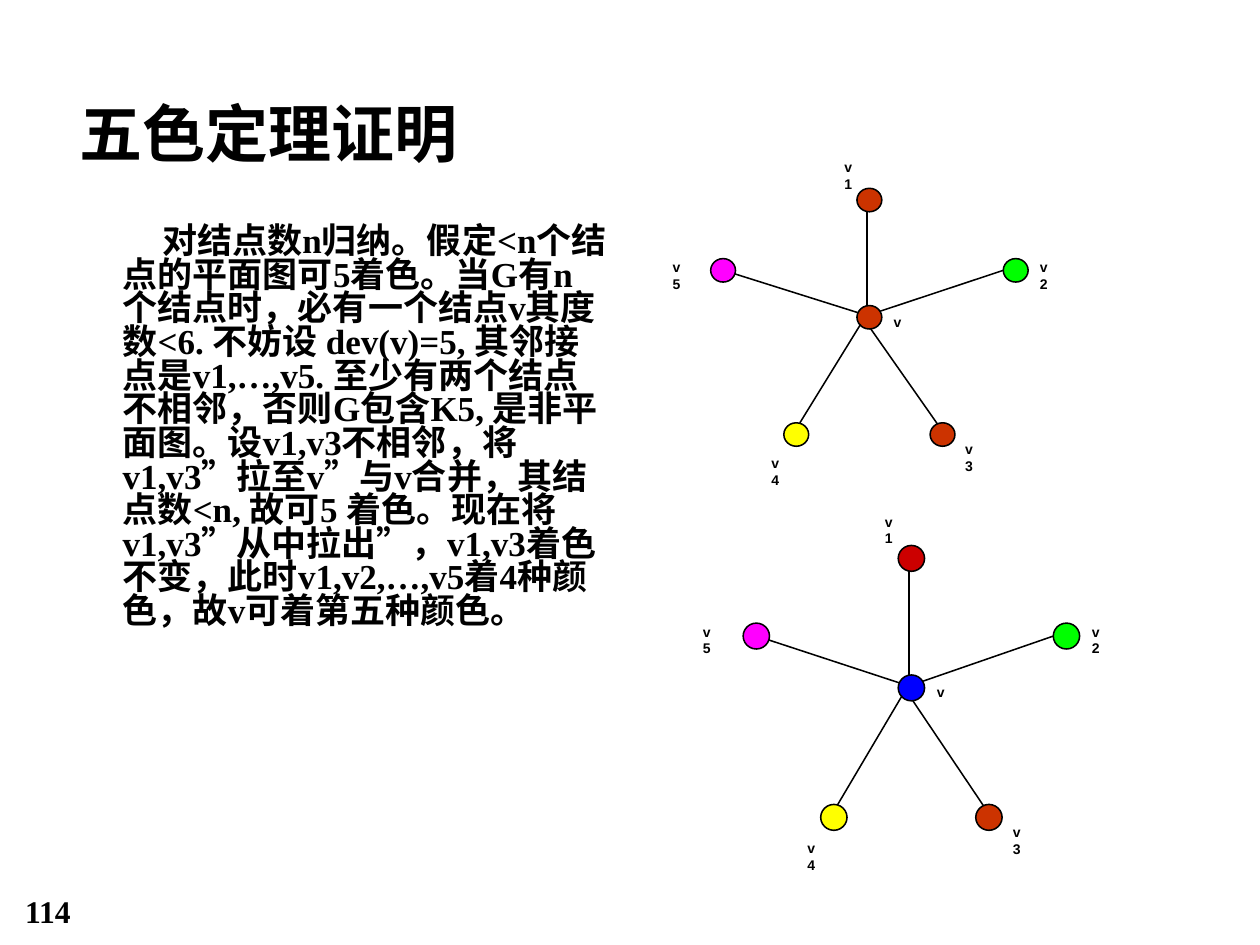
from pptx import Presentation
from pptx.dml.color import RGBColor
from pptx.enum.shapes import MSO_CONNECTOR, MSO_SHAPE
from pptx.oxml.ns import qn
from pptx.util import Pt
from lxml import etree

OVAL = MSO_SHAPE.OVAL
STRAIGHT = MSO_CONNECTOR.STRAIGHT

COLORS = {"black": "000000", "rust": "CC3300", "red": "CC0000", "blue": "0000FF",
          "yellow": "FFFF00", "green": "00FF00", "magenta": "FF00FF"}
SERIF, SANS = "Times New Roman", "Arial"

TITLE = "五色定理证明"
PAGE_NUMBER = "114"
PROOF = ("对结点数n归纳。假定<n个结点的平面图可5着色。当G有n个结点时，必有一个结点v其度数<6. "
         "不妨设 dev(v)=5, 其邻接点是v1,…,v5. 至少有两个结点不相邻，否则G包含K5, 是非平面图。"
         "设v1,v3不相邻，将v1,v3”拉至v”与v合并，其结点数<n, 故可5 着色。"
         "现在将v1,v3”从中拉出”，v1,v3着色不变，此时v1,v2,…,v5着4种颜色，故v可着第五种颜色。")

# Offsets from the hub v, in grid steps: node centre, label corner
NODES = {
    "v": ((0, 0), (0.33, -0.03)),
    "v3": ((1, 1), (1.31, 1.05)),
    "v4": ((-1, 1), (-1.34, 1.17)),
    "v2": ((2, -0.4), (2.33, -0.5)),
    "v5": ((-2, -0.4), (-2.69, -0.5)),
    "v1": ((0, -1), (-0.34, -1.35)),
}
# Edges run between the rims of the nodes
EDGES = [
    ((-0.03, -0.1), (-0.03, -0.9)),
    ((0.14, -0.05), (1.83, -0.4)),
    ((-0.16, -0.04), (-1.84, -0.37)),
    ((-0.12, 0.06), (-0.95, 0.9)),
    ((0.02, 0.1), (0.93, 0.91)),
]
NODE_SIZE = (0.34, 0.2)
SHARED = {"v2": "green", "v3": "rust", "v4": "yellow", "v5": "magenta"}
GRAPHS = [
    {"hub": (496.8, 181.3), "step": (41.8, 67), "fills": {**SHARED, "v": "rust", "v1": "rust"}},
    {"hub": (520.8, 393.1), "step": (44.3, 74), "fills": {**SHARED, "v": "blue", "v1": "red"}},
]


def rgb(name):
    return RGBColor.from_string(COLORS[name])


def add_text(s, text, box, size, font, wrap=True, inset=(0, 0)):
    tb = s.shapes.add_textbox(*map(Pt, box))
    tf = tb.text_frame
    tf.word_wrap = wrap
    tf.margin_left = tf.margin_right = Pt(inset[0])
    tf.margin_top = tf.margin_bottom = Pt(inset[1])
    p = tf.paragraphs[0]
    r = p.add_run()
    r.text = text
    r.font.size, r.font.name, r.font.bold = Pt(size), font, True
    r.font.color.rgb = rgb("black")
    return p


def style_line(line):
    line.color.rgb = rgb("black")
    line.width = Pt(0.88)


def add_graph(s, hub, step, fills):
    def place(offset):
        return [h + o * d for h, o, d in zip(hub, offset, step)]

    w, h = (n * d for n, d in zip(NODE_SIZE, step))
    for name, (centre, _) in NODES.items():
        x, y = place(centre)
        sp = s.shapes.add_shape(OVAL, Pt(x - w / 2), Pt(y - h / 2), Pt(w), Pt(h))
        sp.shadow.inherit = False
        sp.fill.solid()
        sp.fill.fore_color.rgb = rgb(fills[name])
        style_line(sp.line)
    for start, end in EDGES:
        edge = s.shapes.add_connector(STRAIGHT, *map(Pt, place(start) + place(end)))
        style_line(edge.line)
        etree.SubElement(edge._element.spPr, qn("a:effectLst"))
    for name, (_, corner) in NODES.items():
        add_text(s, name, (*place(corner), 8.9, 9.4), 8, SANS, wrap=False)


prs = Presentation()
prs.slide_width, prs.slide_height = Pt(720), Pt(540)
s = prs.slides.add_slide(prs.slide_layouts[6])

# Page number and title
add_text(s, PAGE_NUMBER, (14.4, 509.8, 54, 21.6), 18, SERIF)
add_text(s, TITLE, (45.4, 54, 630, 43.2), 36, SERIF)

# Proof text with a first-line indent
p = add_text(s, PROOF, (36, 126, 318.2, 356.4), 20, SERIF, inset=(7.2, 3.6))
p.line_spacing = 0.8
pPr = p._p.get_or_add_pPr()
pPr.set("marL", str(Pt(27)))
pPr.set("indent", str(Pt(22.5)))

# Coloured graphs
for graph in GRAPHS:
    add_graph(s, **graph)

prs.save("out.pptx")
